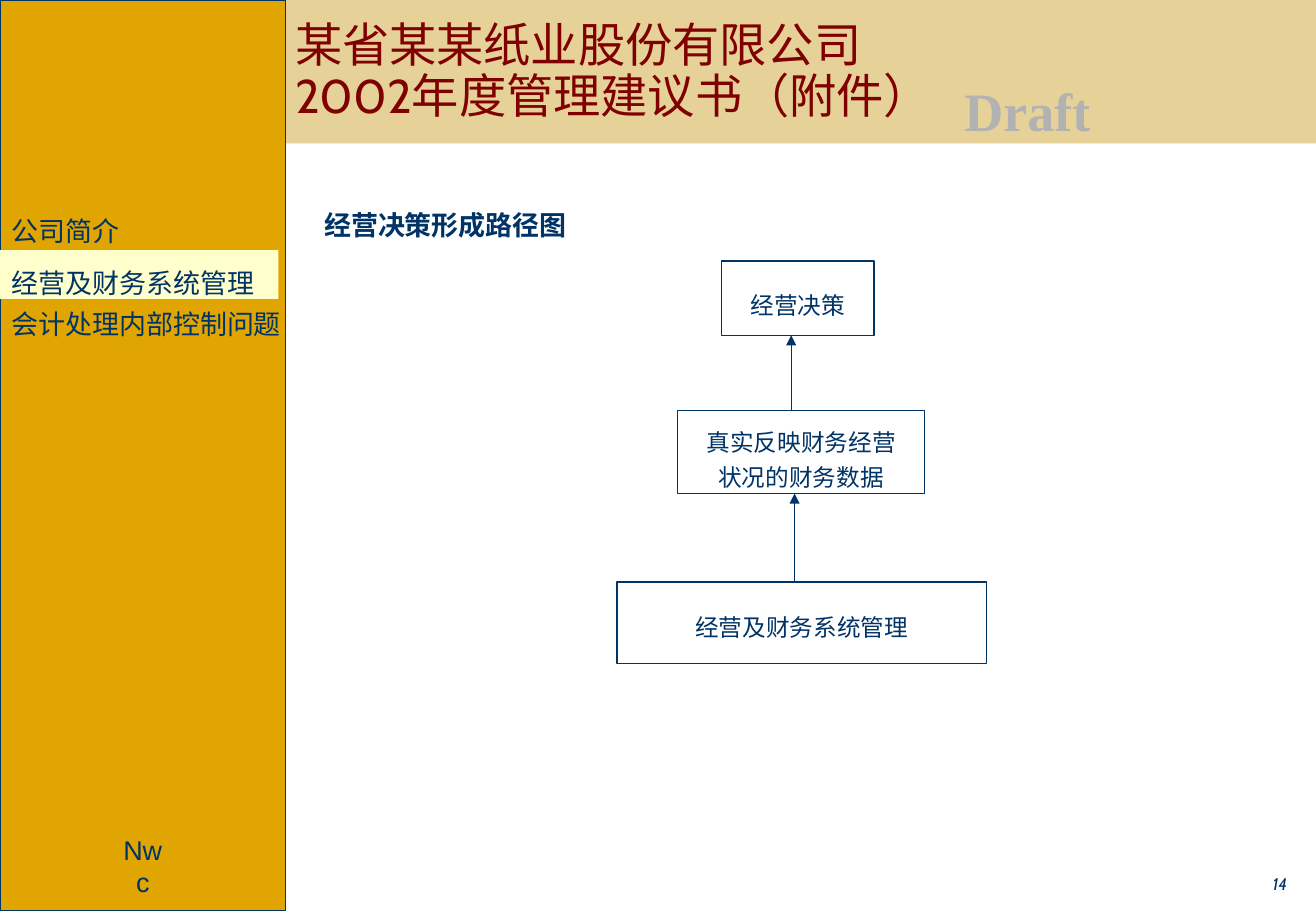
from collections import namedtuple
from dataclasses import dataclass

from lxml import etree
from pptx import Presentation
from pptx import util as u
from pptx.dml.color import RGBColor
from pptx.enum import shapes, text
from pptx.oxml.ns import qn

Box = namedtuple("Box", "x y w h")  # centimetres
Node = namedtuple("Node", "box lines lead")


@dataclass(frozen=True)
class Theme:
    navy: str = "003366"
    gold: str = "E0A500"
    sand: str = "E6D199"
    cream: str = "FFFFCC"
    maroon: str = "800000"
    grey: str = "B2B2B2"
    sans: str = "Arial"
    serif: str = "Times New Roman"
    head: str = "Cabin"
    han: str = "Noto Sans CJK SC"
    title: int = 28
    stamp: int = 32
    body: int = 16
    node: int = 14
    page: int = 10
    line: float = 0.75


T = Theme()
LEFT, MID, RIGHT = text.PP_ALIGN.LEFT, text.PP_ALIGN.CENTER, text.PP_ALIGN.RIGHT
TOP, CORE, BASE = text.MSO_ANCHOR.TOP, text.MSO_ANCHOR.MIDDLE, text.MSO_ANCHOR.BOTTOM


def inner(box, x, y, w, h):
    """Place a box relative to the corner of another."""
    return Box(box.x + x, box.y + y, w, h)


def span(box):
    return [u.Cm(v) for v in box]


def rect(slide, box, fill=None, line=None):
    shape = slide.shapes.add_shape(shapes.MSO_SHAPE.RECTANGLE, *span(box))
    shape.shadow.inherit = False
    if fill:
        shape.fill.solid()
        shape.fill.fore_color.rgb = RGBColor.from_string(fill)
    else:
        shape.fill.background()
    if line:
        shape.line.color.rgb = RGBColor.from_string(line)
        shape.line.width = u.Pt(T.line)
    else:
        shape.line.fill.background()
    return shape


def label(slide, box):
    return slide.shapes.add_textbox(*span(box))


def frame(shape, anchor=TOP, pad=(0.25, 0.13, 0.25, 0.13)):
    """Set wrapping, anchor and insets (left, top, right, bottom)."""
    body = shape.text_frame
    body.word_wrap = True
    body.vertical_anchor = anchor
    body.margin_left, body.margin_top, body.margin_right, body.margin_bottom = span(pad)
    return body


def style(para, align=LEFT, lead=None, before=0, after=0):
    para.alignment = align
    para.line_spacing = lead
    para.space_before = u.Pt(before)
    para.space_after = u.Pt(after)
    return para


def write(para, words, size, face, color=T.navy, bold=False, italic=False):
    run = para.add_run()
    run.text = words
    font = run.font
    font.size, font.name, font.bold, font.italic = u.Pt(size), face, bold, italic
    font.color.rgb = RGBColor.from_string(color)
    etree.SubElement(run._r.get_or_add_rPr(), qn("a:ea"), typeface=T.han)


def header(slide, box):
    rect(slide, box, T.sand)
    stamp = frame(label(slide, inner(box, 19.91, 0.81, 6.73, 2.29)))
    write(style(stamp.paragraphs[0], lead=1.5), "Draft", T.stamp, T.serif, T.grey, bold=True)
    title = frame(label(slide, inner(box, 6.17, 0.41, 20.65, 2.18)), BASE, (0, 0, 0, 0))
    para = style(title.paragraphs[0], lead=0.9)
    write(para, "某省某某纸业股份有限公司", T.title, T.head, T.maroon)
    para.add_line_break()
    write(para, "2002年度管理建议书（附件）", T.title, T.head, T.maroon)


def sidebar(slide, box):
    rect(slide, box, T.gold, T.navy)
    menu = frame(label(slide, inner(box, 0, 4.35, 6.2, 3.1)))
    write(style(menu.paragraphs[0]), "公司简介", T.body, T.han)
    write(style(menu.add_paragraph(), before=36), "会计处理内部控制问题", T.body, T.han)
    active = frame(rect(slide, inner(box, 0, 5.23, 5.82, 1.02), T.cream), CORE)
    write(style(active.paragraphs[0], lead=1.5, after=4), "经营及财务系统管理", T.body, T.serif)
    firm = frame(label(slide, inner(box, 2.21, 17.63, 1.55, 0.81)), CORE, (0.25, 0.13, 0.25, 0))
    write(style(firm.paragraphs[0], MID), "Nwc", T.body, T.sans)


def block(slide, node):
    body = frame(rect(slide, node.box, line=T.navy), CORE)
    for i, words in enumerate(node.lines):
        if i:
            para = style(body.add_paragraph(), MID, 0.8, 3.5, 3.5)
        else:
            para = style(body.paragraphs[0], MID, node.lead, after=3.5)
        write(para, words, T.node, T.serif)


def arrow(slide, low, high):
    """Point from the top of the low box to the foot of the high one."""
    x = u.Cm(high.x + high.w / 2 - 0.14)
    link = slide.shapes.add_connector(
        shapes.MSO_CONNECTOR.STRAIGHT, x, u.Cm(low.y), x, u.Cm(high.y + high.h))
    link.line.color.rgb = RGBColor.from_string(T.navy)
    link.line.width = u.Pt(T.line)
    etree.SubElement(link.line._get_or_add_ln(), qn("a:tailEnd"), type="triangle")
    etree.SubElement(link._element.spPr, qn("a:effectLst"))


def flow(slide, box):
    nodes = [
        Node(inner(box, 2.19, 0, 3.18, 1.55), ["经营决策"], 1.5),
        Node(inner(box, 1.27, 3.13, 5.16, 1.73), ["真实反映财务经营", "状况的财务数据"], 1.5),
        Node(inner(box, 0, 6.71, 7.72, 1.7), ["经营及财务系统管理"], 1.3),
    ]
    for node in nodes:
        block(slide, node)
    for high, low in zip(nodes, nodes[1:]):
        arrow(slide, low.box, high.box)


def content(slide, box):
    topic = frame(label(slide, inner(box, 0.56, 1.24, 19.86, 1.2)))
    write(style(topic.paragraphs[0]), "经营决策形成路径图", T.body, T.han, bold=True)
    flow(slide, inner(box, 6.93, 2.46, 7.72, 8.41))
    page = frame(label(slide, inner(box, 15.47, 15.03, 5.72, 0.79)), CORE, (0.25, 0.13, 0.25, 0))
    write(style(page.paragraphs[0], RIGHT), "14", T.page, T.head, italic=True)


def main():
    deck = Presentation()
    wide, tall, band, side = 27.51, 19.05, 3, 5.97
    deck.slide_width, deck.slide_height = u.Cm(wide), u.Cm(tall)
    slide = deck.slides.add_slide(deck.slide_layouts[6])
    header(slide, Box(0, 0, wide, band))
    sidebar(slide, Box(0, 0, side, tall))
    content(slide, Box(side, band, wide - side, tall - band))
    deck.save("out.pptx")


if __name__ == "__main__":
    main()
